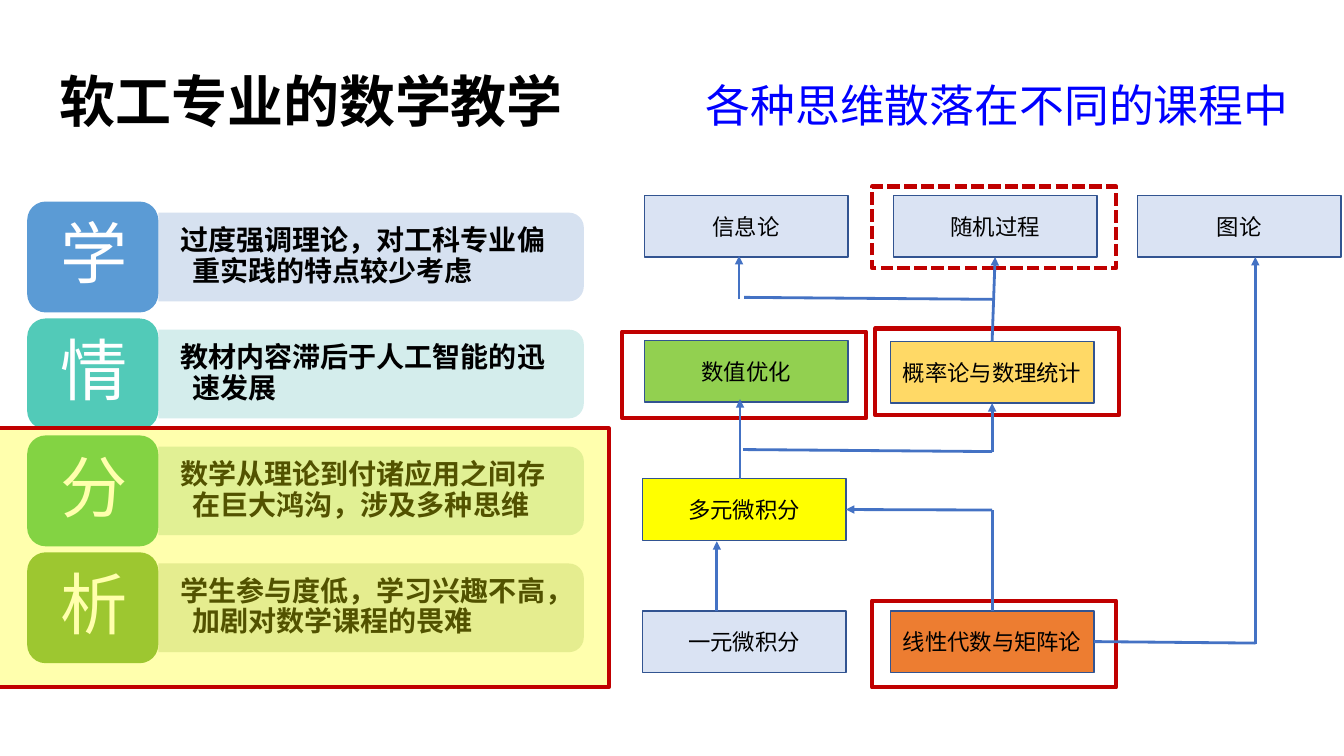
from lxml import etree
from pptx import Presentation
from pptx.dml.color import RGBColor
from pptx.enum.dml import MSO_LINE
from pptx.enum.shapes import MSO_CONNECTOR, MSO_SHAPE
from pptx.enum.text import MSO_ANCHOR, PP_ALIGN
from pptx.oxml.ns import qn
from pptx.util import Inches, Pt

CJK_FONT = "Noto Sans CJK SC"
ROW_PITCH = 1.16
TOP, LEFT, BOTTOM, RIGHT = range(4)


def color(hex_text):
    return RGBColor.from_string(hex_text)


def add_block(page, kind, box, fill=None, line=None, width=1, alpha=None):
    shape = page.shapes.add_shape(kind, *[Inches(length) for length in box])
    shape.shadow.inherit = False
    if fill:
        shape.fill.solid()
        shape.fill.fore_color.rgb = color(fill)
        if alpha:
            tint = shape.fill._xPr.find(qn("a:solidFill"))[0]
            etree.SubElement(tint, qn("a:alpha")).set("val", str(alpha * 1000))
    else:
        shape.fill.background()
    if line:
        shape.line.color.rgb = color(line)
        shape.line.width = Pt(width)
    else:
        shape.line.fill.background()
    return shape


def write(shape, text, size, hex_text, font=CJK_FONT, bold=False,
          align=PP_ALIGN.LEFT, anchor=MSO_ANCHOR.MIDDLE, spacing=None):
    frame = shape.text_frame
    frame.word_wrap = True
    frame.vertical_anchor = anchor
    para = frame.paragraphs[0]
    para.alignment = align
    if spacing:
        para.line_spacing = spacing
    span = para.add_run()
    span.text = text
    span.font.size = Pt(size)
    span.font.bold = bold
    span.font.color.rgb = color(hex_text)
    span.font.name = font
    latin = span.font._element.find(qn("a:latin"))
    latin.addnext(latin.makeelement(qn("a:ea"), {"typeface": CJK_FONT}))
    return para


def add_text(page, box, text, size, hex_text, inset=None, **style):
    shape = page.shapes.add_textbox(*[Inches(length) for length in box])
    para = write(shape, text, size, hex_text, **style)
    if inset:
        frame = shape.text_frame
        frame.margin_left = frame.margin_right = Inches(inset)
        frame.margin_top = frame.margin_bottom = Inches(inset / 2)
    return para


def add_headings(page, left, top):
    add_text(page, (left, top, 11.5, 1.45), "软工专业的数学教学", 40, "000000",
             bold=True, spacing=0.9)
    add_text(page, (left + 6.41, top + 0.41, 6.14, 0.64),
             "各种思维散落在不同的课程中", 32, "0000FF", font="Calibri",
             anchor=MSO_ANCHOR.TOP)


def add_finding(page, left, top, letter, text, tile_fill, bar_fill):
    # Bar, turned so that its rounded end faces right
    bar = add_block(page, MSO_SHAPE.ROUND_2_SAME_RECTANGLE,
                    (left + 2.97, top - 1.56, 0.88, 4.22), bar_fill, alpha=90)
    bar.rotation = 90
    para = add_text(page, (left + 1.31, top + 0.15, 4.17, 0.8), text, 20,
                    "000000", inset=0.08, bold=True, spacing=0.9)
    hanging = para._p.get_or_add_pPr()
    hanging.set("marL", str(Inches(0.25)))
    hanging.set("indent", str(Inches(-0.12)))
    # Tile with one large character
    add_block(page, MSO_SHAPE.ROUNDED_RECTANGLE, (left, top, 1.3, 1.1), tile_fill)
    add_text(page, (left + 0.06, top + 0.05, 1.2, 1), letter, 48, "FFFFFF",
             inset=0.2, align=PP_ALIGN.CENTER, spacing=0.9)


def add_findings(page, left, top):
    findings = [
        ("学", "过度强调理论，对工科专业偏重实践的特点较少考虑", "5B9BD5", "D2DEEF"),
        ("情", "教材内容滞后于人工智能的迅速发展", "52CAB8", "D0ECEA"),
        ("分", "数学从理论到付诸应用之间存在巨大鸿沟，涉及多种思维", "49BF64", "D0E7D8"),
        ("析", "学生参与度低，学习兴趣不高，加剧对数学课程的畏难", "70AD47", "D5E3CF"),
    ]
    for row, finding in enumerate(findings):
        add_finding(page, left, top + row * ROW_PITCH, *finding)
    # Highlight over the last two rows
    add_block(page, MSO_SHAPE.RECTANGLE, (left - 0.31, top + 2.25, 6.08, 2.57),
              "FFFF00", "C00000", 2.75, alpha=32)


def add_course_map(page, left, top):
    # Courses
    courses = {}
    for name, x, y, fill in [
        ("信息论", 0.22, 0.09, "DAE3F3"),
        ("随机过程", 2.69, 0.09, "DAE3F3"),
        ("图论", 5.11, 0.09, "DAE3F3"),
        ("数值优化", 0.22, 1.53, "92D050"),
        ("概率论与数理统计", 2.66, 1.54, "FFD966"),
        ("多元微积分", 0.2, 2.9, "FFFF00"),
        ("一元微积分", 0.2, 4.21, "DAE3F3"),
        ("线性代数与矩阵论", 2.66, 4.21, "ED7D31"),
    ]:
        course = add_block(page, MSO_SHAPE.RECTANGLE,
                           (left + x, top + y, 2.02, 0.61), fill, "325491")
        write(course, name, 16, "000000", font="Calibri", align=PP_ALIGN.CENTER)
        courses[name] = course

    # Red frames
    for x, y, height, dashed in [(0, 1.44, 0.86, False), (2.51, 1.41, 0.86, False),
                                 (2.48, 4.11, 0.86, False), (2.48, 0, 0.81, True)]:
        frame = add_block(page, MSO_SHAPE.RECTANGLE,
                          (left + x, top + y, 2.42, height), None, "C00000", 3)
        if dashed:
            frame.line.dash_style = MSO_LINE.SQUARE_DOT

    # Links: each end is a point or a (course, side) pair
    for start, end, arrow in [
        ((1.17, 2.9), (1.17, 2.11), True),
        ((1.2, 2.61), (3.67, 2.63), False),
        ((3.67, 2.63), ("概率论与数理统计", BOTTOM), True),
        (("概率论与数理统计", TOP), ("随机过程", BOTTOM), True),
        ((1.21, 1.1), (3.67, 1.12), False),
        ((1.16, 1.12), (1.16, 0.69), True),
        ((0.94, 4.21), (0.94, 3.52), True),
        (("线性代数与矩阵论", TOP), (3.67, 3.21), False),
        ((3.67, 3.21), ("多元微积分", RIGHT), True),
        (("线性代数与矩阵论", RIGHT), (6.28, 4.53), False),
        ((6.28, 4.54), (6.28, 0.7), True),
    ]:
        points = [(0, 0) if isinstance(tip[0], str)
                  else (Inches(left + tip[0]), Inches(top + tip[1]))
                  for tip in (start, end)]
        link = page.shapes.add_connector(MSO_CONNECTOR.STRAIGHT, *points[0], *points[1])
        for tip, join in [(start, link.begin_connect), (end, link.end_connect)]:
            if isinstance(tip[0], str):
                join(courses[tip[0]], tip[1])
        link.line.color.rgb = color("4472C4")
        link.line.width = Pt(2)
        if arrow:
            line = link.line._get_or_add_ln()
            etree.SubElement(line, qn("a:tailEnd")).set("type", "triangle")
        etree.SubElement(link._element.spPr, qn("a:effectLst"))


def main():
    deck = Presentation()
    deck.slide_width, deck.slide_height = Inches(13.33), Inches(7.5)
    page = deck.slides.add_slide(deck.slide_layouts[6])
    add_headings(page, 0.49, 0.31)
    add_course_map(page, 6.17, 1.85)
    add_findings(page, 0.27, 2)
    deck.save("out.pptx")


if __name__ == "__main__":
    main()
